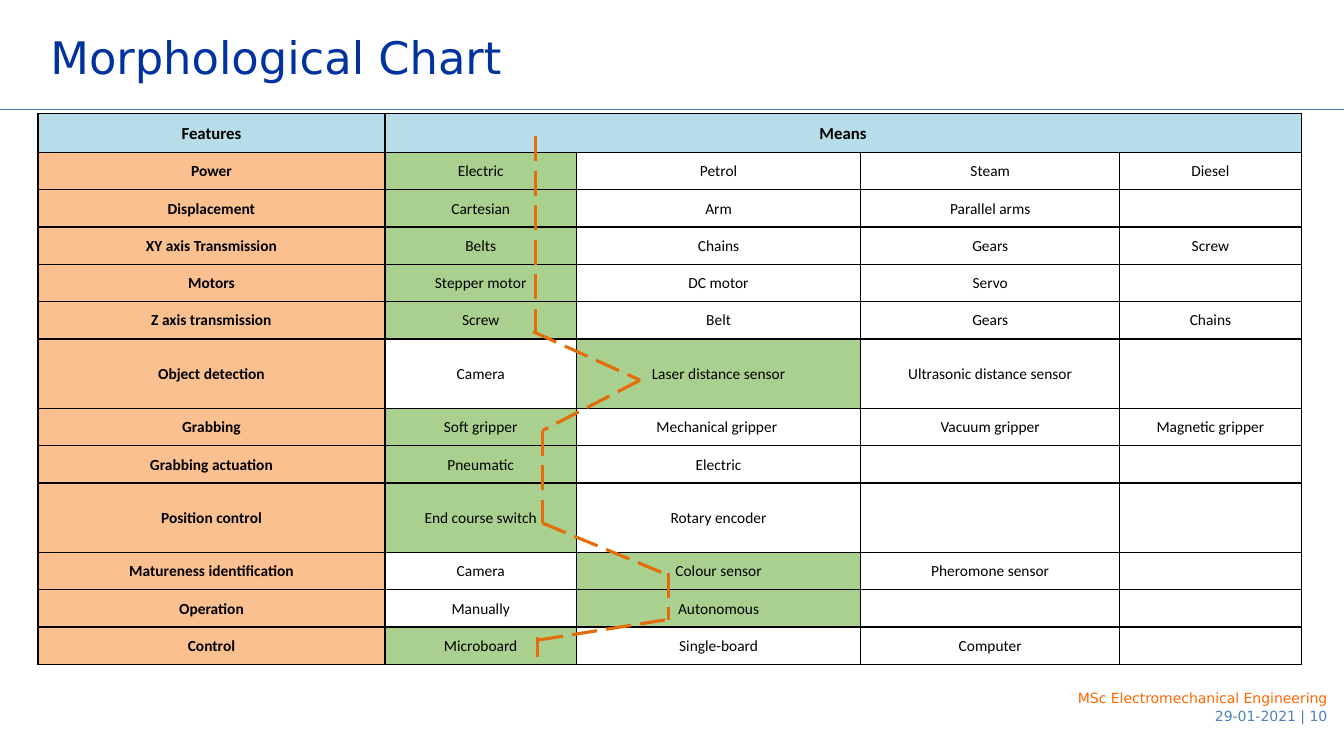
import pptx
import pptx.util
import pptx.dml.color
import pptx.enum.dml
import pptx.enum.shapes
import pptx.enum.text
import pptx.oxml
import pptx.oxml.ns
from lxml import etree

Cm, Pt = pptx.util.Cm, pptx.util.Pt
PP_ALIGN = pptx.enum.text.PP_ALIGN
MIDDLE = pptx.enum.text.MSO_ANCHOR.MIDDLE

COLORS = {
    "title": "00339F", "rule": "4B7EBC", "header": "B7DEE8",
    "feature": "FAC090", "chosen": "A9D08E", "text": "000000",
    "route": "E46C0A", "programme": "FF6600", "date": "4F81BD",
}

# feature, column of the chosen means, means
FEATURES = [
    ("Power", 1, ["Electric", "Petrol", "Steam", "Diesel"]),
    ("Displacement", 1, ["Cartesian", "Arm", "Parallel arms"]),
    ("XY axis Transmission", 1, ["Belts", "Chains", "Gears", "Screw"]),
    ("Motors", 1, ["Stepper motor", "DC motor", "Servo"]),
    ("Z axis transmission", 1, ["Screw", "Belt", "Gears", "Chains"]),
    ("Object detection", 2, ["Camera", "Laser distance sensor", "Ultrasonic distance sensor"]),
    ("Grabbing", 1, ["Soft gripper", "Mechanical gripper\u00a0", "Vacuum gripper", "Magnetic gripper"]),
    ("Grabbing actuation", 1, ["Pneumatic", "Electric"]),
    ("Position control", 1, ["End course switch", "Rotary encoder"]),
    ("Matureness identification", 2, ["Camera", "Colour sensor", "Pheromone sensor"]),
    ("Operation", 2, ["Manually", "Autonomous"]),
    ("Control", 1, ["Microboard", "Single-board", "Computer"]),
]
TALL_ROWS = ("Object detection", "Position control")
COL_WIDTHS = [8.74, 4.83, 7.16, 6.53, 4.57]

# x1, y1, x2, y2 in cm
ROUTE = [
    (13.49, 3.43, 13.49, 8.61), (13.44, 8.36, 16.13, 9.58),
    (16.13, 9.58, 13.67, 10.85), (13.67, 10.85, 13.67, 13.18),
    (13.67, 13.18, 16.74, 14.45), (16.84, 14.43, 16.84, 15.62),
    (16.76, 15.62, 13.44, 16.15), (13.54, 16.56, 13.54, 16.05),
]


def style(p, font, size, color, align, bold=False):
    p.alignment = align
    for r in p.runs:
        r.font.name, r.font.size, r.font.bold = font, Pt(size), bold
        r.font.color.rgb = pptx.dml.color.RGBColor.from_string(COLORS[color])


def add_line(x1, y1, x2, y2, color, width):
    line = s.shapes.add_connector(pptx.enum.shapes.MSO_CONNECTOR.STRAIGHT,
                                  Cm(x1), Cm(y1), Cm(x2), Cm(y2))
    line.line.color.rgb = pptx.dml.color.RGBColor.from_string(COLORS[color])
    line.line.width = Pt(width)
    etree.SubElement(line._element.spPr, pptx.oxml.ns.qn("a:effectLst"))
    return line


prs = pptx.Presentation()
prs.slide_width, prs.slide_height = Cm(33.87), Cm(19.05)
s = prs.slides.add_slide(prs.slide_layouts[5])

# Title and rule
title = s.shapes.title
title.left, title.top, title.width, title.height = Cm(1.27), Cm(0.74), Cm(29.9), Cm(1.37)
tf = title.text_frame
tf.text = "Morphological Chart"
tf.margin_left = tf.margin_right = tf.margin_top = tf.margin_bottom = 0
tf.vertical_anchor = MIDDLE
tf.auto_size = pptx.enum.text.MSO_AUTO_SIZE.NONE
style(tf.paragraphs[0], "DejaVu Sans", 32, "title", PP_ALIGN.LEFT)
add_line(0, 2.77, 33.87, 2.77, "rule", 0.75)

# Morphological table
row_heights = [0.97] + [1.75 if name in TALL_ROWS else 0.94 for name, _, _ in FEATURES]
table = s.shapes.add_table(len(row_heights), len(COL_WIDTHS), Cm(0.96), Cm(2.87),
                           Cm(sum(COL_WIDTHS)), Cm(sum(row_heights))).table
table.first_row = table.horz_banding = False
for col, width in zip(table.columns, COL_WIDTHS):
    col.width = Cm(width)
for row, height in zip(table.rows, row_heights):
    row.height = Cm(height)

rows = [("Features", 0, ["Means"])] + FEATURES
for i, (feature, chosen, means) in enumerate(rows):
    texts = [feature] + means
    for j in range(len(COL_WIDTHS)):
        cell = table.cell(i, j)
        cell.margin_left = cell.margin_right = cell.margin_top = Cm(0.02)
        cell.margin_bottom = 0
        cell.vertical_anchor = MIDDLE
        fill = "header" if i == 0 else "feature" if j == 0 else "chosen" if j == chosen else None
        if fill:
            cell.fill.solid()
            cell.fill.fore_color.rgb = pptx.dml.color.RGBColor.from_string(COLORS[fill])
        else:
            cell.fill.background()
        if j < len(texts):
            cell.text = texts[j]
            style(cell.text_frame.paragraphs[0], "Calibri", 12 if i == 0 else 11,
                  "text", PP_ALIGN.CENTER, i == 0 or j == 0)
        tcPr = cell._tc.get_or_add_tcPr()
        for k, side in enumerate(("lnL", "lnR", "lnT", "lnB")):
            tcPr.insert(k, pptx.oxml.parse_xml(
                f'<a:{side} {pptx.oxml.ns.nsdecls("a")} w="12700"><a:solidFill>'
                f'<a:srgbClr val="{COLORS["text"]}"/></a:solidFill></a:{side}>'))
table.cell(0, 1).merge(table.cell(0, 4))

# Route through the chosen means
for segment in ROUTE:
    line = add_line(*segment, "route", 2.25)
    line.line.dash_style = pptx.enum.dml.MSO_LINE.LONG_DASH

# Footer
footer = s.shapes.add_textbox(Cm(25.2), Cm(17.37), Cm(8.25), Cm(0.89))
tf = footer.text_frame
tf.word_wrap = True
tf.margin_left = tf.margin_right = tf.margin_top = tf.margin_bottom = 0
tf.text = "MSc Electromechanical Engineering"
style(tf.paragraphs[0], "DejaVu Sans", 10, "programme", PP_ALIGN.RIGHT)
p = tf.add_paragraph()
p.text = "29-01-2021\u00a0| 10"
p.space_before = Pt(0.7)
style(p, "DejaVu Sans", 10, "date", PP_ALIGN.RIGHT)

prs.save("out.pptx")
